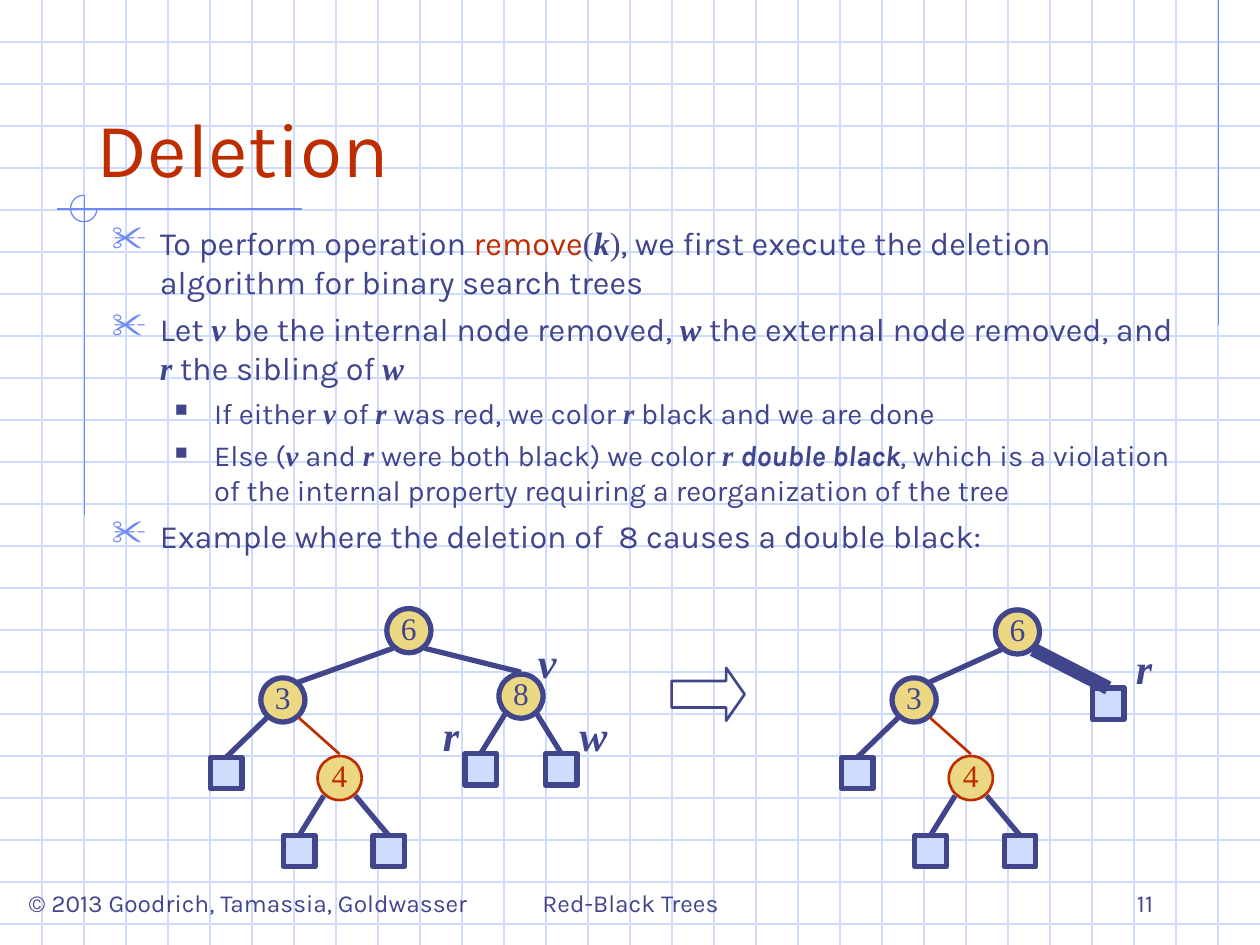
from dataclasses import dataclass
from lxml import etree
from pptx import Presentation
from pptx.dml.color import RGBColor
from pptx.enum.shapes import MSO_CONNECTOR, MSO_SHAPE
from pptx.enum.text import MSO_ANCHOR, PP_ALIGN
from pptx.oxml.ns import qn
from pptx.util import Inches, Pt

LINE = MSO_CONNECTOR.STRAIGHT
OVAL, RECT, ARC, ARROW = (MSO_SHAPE.OVAL, MSO_SHAPE.RECTANGLE, MSO_SHAPE.ARC,
                          MSO_SHAPE.RIGHT_ARROW)
TOP, MID, LOW = MSO_ANCHOR.TOP, MSO_ANCHOR.MIDDLE, MSO_ANCHOR.BOTTOM
LEFT, MIDDLE, RIGHT = PP_ALIGN.LEFT, PP_ALIGN.CENTER, PP_ALIGN.RIGHT


@dataclass
class Theme:
    ink: str = "40458C"
    red: str = "BE2D00"
    gold: str = "ECD882"
    pale: str = "CFDBFD"
    blue: str = "6F89F7"
    sans: str = "Karla"
    serif: str = "Times New Roman"
    title: float = 44
    body: float = 18.5
    sub: float = 16.6
    foot: float = 14
    node: float = 18
    label: float = 24


T = Theme()
rgb = RGBColor.from_string
deck = Presentation()
deck.slide_width, deck.slide_height = Inches(10), Inches(7.5)
slide = deck.slides.add_slide(deck.slide_layouts[6])
shapes = slide.shapes


def link(x1, y1, x2, y2, color, width):
    line = shapes.add_connector(LINE, Inches(x1), Inches(y1), Inches(x2), Inches(y2))
    line.line.color.rgb = rgb(color)
    line.line.width = Pt(width)
    etree.SubElement(line._element.spPr, qn("a:effectLst"))
    return line


def write(para, text, size, face=T.sans, color=T.ink, strong=False):
    run = para.add_run()
    run.text = text
    font = run.font
    font.size, font.name, font.color.rgb = Pt(size), face, rgb(color)
    font.bold = font.italic = strong


# Background grid
for i in range(1, 23):
    link(0, i / 3, 10, i / 3, T.pale, 0.75)
for i in range(1, 30):
    link(i / 3, 0, i / 3, 7.5, T.pale, 0.75)

# Margin lines and open ring
for ends in [(9.67, 0, 9.67, 2.58), (2.4, 1.66, 0.45, 1.66), (0.67, 1.55, 0.67, 4.09)]:
    link(*ends, T.blue, 0.75)
ring = shapes.add_shape(ARC, Inches(0.56), Inches(1.55), Inches(0.21), Inches(0.21))
ring.adjustments[0], ring.adjustments[1] = 0, 162
ring.shadow.inherit = False
ring.fill.background()
ring.line.color.rgb, ring.line.width = rgb(T.blue), Pt(0.75)

# Title, footers and tree labels
for text, x, y, w, h, size, color, align, anchor in [
    ("© 2013 Goodrich, Tamassia, Goldwasser", 0.03, 7, 3.88, 0.34, T.foot, T.ink, MIDDLE, TOP),
    ("Red-Black Trees", 3.42, 6.83, 3.17, 0.5, T.foot, T.ink, MIDDLE, LOW),
    ("11", 7.17, 6.83, 2.08, 0.5, T.foot, T.ink, RIGHT, LOW),
    ("Deletion", 0.67, 0.33, 8.5, 1.25, T.title, T.red, LEFT, LOW),
    ("v", 4.17, 5, 0.34, 0.5, T.label, T.ink, MIDDLE, TOP),
    ("r", 3.41, 5.58, 0.34, 0.5, T.label, T.ink, MIDDLE, TOP),
    ("w", 4.5, 5.58, 0.42, 0.5, T.label, T.ink, MIDDLE, TOP),
    ("r", 8.83, 5.05, 0.5, 0.5, T.label, T.ink, MIDDLE, TOP),
]:
    frame = shapes.add_textbox(Inches(x), Inches(y), Inches(w), Inches(h)).text_frame
    frame.word_wrap, frame.vertical_anchor = True, anchor
    para = frame.paragraphs[0]
    para.alignment = align
    strong = size == T.label
    write(para, text, size, T.serif if strong else T.sans, color, strong)

# Body: each paragraph is a level and its runs
STYLE = {
    "text": (T.sans, T.ink, False),
    "code": (T.sans, T.red, False),
    "math": (T.serif, T.ink, False),
    "var": (T.serif, T.ink, True),
    "term": (T.sans, T.ink, True),
}
LEVEL = [  # size, margin, hang, space before, bullet, bullet colour, bullet size
    (T.body, 0.38, 0.38, 5, "✂", T.blue, 110),
    (T.sub, 0.81, 0.31, 4.5, "■", T.ink, 60),
]
BODY = [
    (0, [("text", "To perform operation "), ("code", "remove"), ("math", "("),
         ("var", "k"), ("math", ")"),
         ("text", ", we first execute the deletion algorithm for binary search trees")]),
    (0, [("text", "Let "), ("var", "v"), ("text", " be the internal node removed, "),
         ("var", "w"), ("text", " the external node removed, and "), ("var", "r"),
         ("text", " the sibling of "), ("var", "w")]),
    (1, [("text", "If either "), ("var", "v"), ("text", " of "), ("var", "r"),
         ("text", " was red, we color "), ("var", "r"),
         ("text", " black and we are done")]),
    (1, [("text", "Else ("), ("var", "v"), ("text", " and "), ("var", "r"),
         ("text", " were both black) we color "), ("var", "r "),
         ("term", "double black"),
         ("text", ", which is a violation of the internal property requiring "
                  "a reorganization of the tree")]),
    (0, [("text", "Example where the deletion of  8 causes a double black:")]),
]
frame = shapes.add_textbox(Inches(0.79), Inches(1.72), Inches(8.75), Inches(3.11)).text_frame
frame.word_wrap = True
for i, (level, runs) in enumerate(BODY):
    size, margin, hang, space, mark, color, scale = LEVEL[level]
    para = frame.add_paragraph() if i else frame.paragraphs[0]
    para.level = level
    props = para._p.get_or_add_pPr()
    props.set("marL", str(Inches(margin)))
    props.set("indent", str(-Inches(hang)))
    tint = etree.SubElement(props, qn("a:buClr"))
    etree.SubElement(tint, qn("a:srgbClr"), val=color)
    etree.SubElement(props, qn("a:buSzPct"), val=str(scale * 1000))
    etree.SubElement(props, qn("a:buChar"), char=mark)
    para.space_before = Pt(space if i else 0)
    for kind, text in runs:
        write(para, text, size, *STYLE[kind])

# Trees: node centres; digits are inner nodes, letters are leaves
COMMON = {"3": (2.245, 5.555), "4": (2.695, 6.175), "a": (1.795, 6.135),
          "b": (2.375, 6.755), "c": (3.085, 6.755)}
BEFORE = COMMON | {"6": (3.245, 5.005), "8": (4.135, 5.525),
                   "d": (3.815, 6.105), "e": (4.455, 6.105)}
AFTER = {key: (x + 5.01, y) for key, (x, y) in COMMON.items()}
AFTER |= {"6": (8.075, 5.015), "f": (8.795, 5.585)}
# Parent, side it leaves from (-1 left, 1 right), child
EDGES = [("6", -1, "3"), ("3", -1, "a"), ("3", 1, "4"), ("4", -1, "b"), ("4", 1, "c")]
TREES = [(BEFORE, EDGES + [("6", 1, "8"), ("8", -1, "d"), ("8", 1, "e")]),
         (AFTER, EDGES + [("6", 1, "f")])]
for nodes, edges in TREES:
    drawn = {}
    for key, (x, y) in nodes.items():
        inner = key.isdigit()
        side = 0.35 if inner else 0.25
        color, width = (T.red, 1.5) if key == "4" else (T.ink, 3)
        node = shapes.add_shape(OVAL if inner else RECT, Inches(x - side / 2),
                                Inches(y - side / 2), Inches(side), Inches(side))
        node.shadow.inherit = False
        node.fill.solid()
        node.fill.fore_color.rgb = rgb(T.gold if inner else T.pale)
        node.line.color.rgb, node.line.width = rgb(color), Pt(width)
        drawn[key] = node
        if inner:
            frame = node.text_frame
            frame.margin_left = frame.margin_right = frame.margin_top = 0
            frame.margin_bottom = Inches(0.05)
            frame.word_wrap, frame.vertical_anchor = False, MID
            frame.paragraphs[0].alignment = MIDDLE
            write(frame.paragraphs[0], key, T.node, T.serif, color)
    for start, way, end in edges:
        (x1, y1), (x2, y2) = nodes[start], nodes[end]
        dx, dy = (0.12, 0.14) if end == "3" else (0, 0.19)
        color = T.red if end == "4" else T.ink
        width = {"4": 1.5, "f": 8}.get(end, 3)
        edge = link(x1 + way * 0.125, y1 + 0.14, x2 + dx, y2 - dy, color, width)
        if end.isalpha():
            edge.end_connect(drawn[end], 0)

# Arrow between the trees
arrow = shapes.add_shape(ARROW, Inches(5.33), Inches(5.3), Inches(0.58), Inches(0.42))
arrow.adjustments[0], arrow.adjustments[1] = 0.5, 0.35
arrow.shadow.inherit = False
arrow.fill.background()
arrow.line.color.rgb, arrow.line.width = rgb(T.ink), Pt(1.5)

deck.save("out.pptx")
